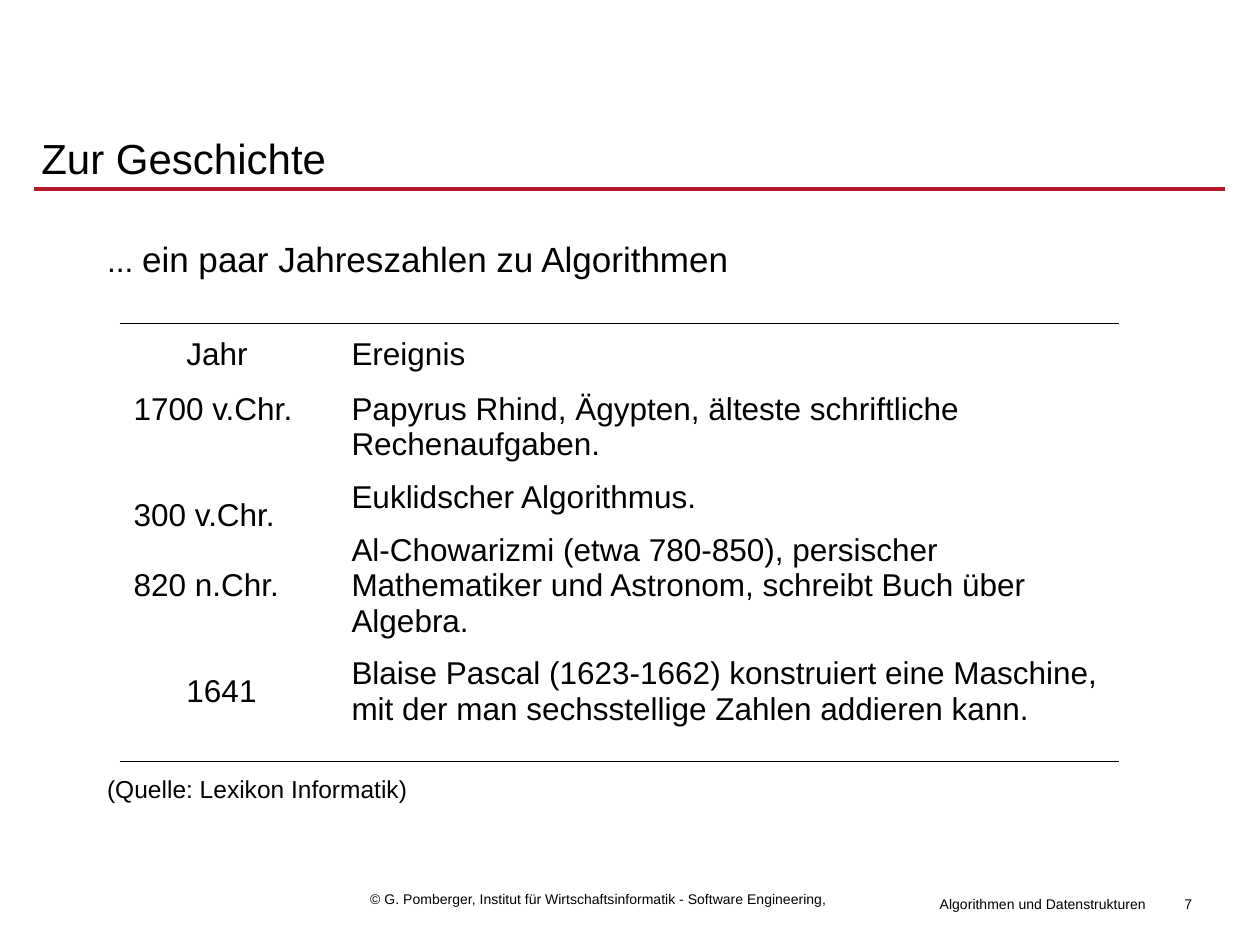
from dataclasses import dataclass

from lxml.etree import SubElement
from pptx import Presentation
from pptx.dml.color import RGBColor
from pptx.enum.shapes import MSO_CONNECTOR as Connector
from pptx.enum.text import MSO_ANCHOR as Anchor, PP_ALIGN as Align
from pptx.oxml.ns import qn
from pptx.util import Inches, Pt


@dataclass(frozen=True)
class Theme:
    font: str = "Arial"
    ink: str = "000000"
    accent: str = "B61A29"
    title: int = 24
    lead: int = 20
    table: int = 18
    source: int = 14
    footer: int = 8
    rule: float = 1.75
    border: float = 0.45


@dataclass(frozen=True)
class Line:
    text: str
    before: float = 0
    indent: float = 0


class SlideBuilder:
    """Draws themed elements placed in percent of the slide's width and height."""

    def __init__(self, deck, theme):
        self.deck, self.theme = deck, theme
        self.page = deck.slides.add_slide(deck.slide_layouts[6])

    def across(self, share):
        return round(self.deck.slide_width * share / 100)

    def down(self, share):
        return round(self.deck.slide_height * share / 100)

    def area(self, left, top, width, height):
        return self.across(left), self.down(top), self.across(width), self.down(height)

    def style(self, para, size):
        for span in para.runs:
            span.font.name = self.theme.font
            span.font.size = Pt(size)
            span.font.color.rgb = RGBColor.from_string(self.theme.ink)

    def text(self, area, text, size, align=Align.LEFT, anchor=Anchor.TOP):
        frame = self.page.shapes.add_textbox(*self.area(*area)).text_frame
        frame.word_wrap = True
        frame.vertical_anchor = anchor
        frame.text = text
        for para in frame.paragraphs:
            para.alignment = align
            self.style(para, size)
        return frame

    def body(self, area, dots, lead, source, inset, indent, gap):
        frame = self.text(area, f"{lead}\n{source}", self.theme.source)
        frame.margin_top = self.down(inset)
        frame.margin_left = self.across(indent)
        first, last = frame.paragraphs
        first.text = dots
        first.add_run().text = lead
        self.style(first, self.theme.lead)
        first.runs[0].font.size = Pt(self.theme.table)
        first.line_spacing = last.line_spacing = 0.9
        last.space_before = Pt(gap)

    def rule(self, left, right, top):
        line = self.page.shapes.add_connector(
            Connector.STRAIGHT, self.across(left), self.down(top), self.across(right), self.down(top))
        line.line.color.rgb = RGBColor.from_string(self.theme.accent)
        line.line.width = Pt(self.theme.rule)
        SubElement(line._element.spPr, qn("a:effectLst"))

    def border(self, cell, visible):
        properties = cell._tc.get_or_add_tcPr()
        for position, side in enumerate(("lnL", "lnR", "lnT", "lnB")):
            edge = properties.makeelement(qn(f"a:{side}"), {"w": str(Pt(self.theme.border))})
            properties.insert(position, edge)
            if side == visible:
                fill = SubElement(edge, qn("a:solidFill"))
                SubElement(fill, qn("a:srgbClr"), val=self.theme.ink)
            else:
                SubElement(edge, qn("a:noFill"))

    def cell(self, cell, lines, anchor, edge):
        cell.fill.background()
        cell.vertical_anchor = anchor
        frame = cell.text_frame
        frame.text = "\n".join(line.text for line in lines)
        for para, line in zip(frame.paragraphs, lines):
            para.space_before = Pt(line.before)
            para._p.get_or_add_pPr().set("marL", str(Inches(0.01 + line.indent)))
            self.style(para, self.theme.table)
        self.border(cell, edge)

    def table(self, left, top, columns, rows, content):
        area = self.area(left, top, sum(columns), sum(rows))
        table = self.page.shapes.add_table(len(rows), len(columns), *area).table
        table.first_row = table.horz_banding = False
        for column, width in zip(table.columns, columns):
            column.width = self.across(width)
        for row, height in zip(table.rows, rows):
            row.height = self.down(height)
        looks = ((Anchor.MIDDLE, "lnT"), (Anchor.TOP, "lnB"))
        for row, entries, look in zip(table.rows, content, looks):
            for cell, lines in zip(row.cells, entries):
                self.cell(cell, lines, *look)


def main():
    deck = Presentation()
    deck.slide_width, deck.slide_height = Inches(10), Inches(7.5)
    theme = Theme()
    slide = SlideBuilder(deck, theme)
    line_height = theme.table * 1.12
    half_line = line_height / 2
    centred = 0.42

    years = [
        Line("1700 v.Chr."),
        Line("300 v.Chr.", 2 * line_height),
        Line("820 n.Chr.", line_height),
        Line("1641", 2 * line_height, centred),
    ]
    events = [
        Line("Papyrus Rhind, Ägypten, älteste schriftliche Rechenaufgaben."),
        Line("Euklidscher Algorithmus.", half_line),
        Line("Al-Chowarizmi (etwa 780-850), persischer", half_line),
        Line("Mathematiker und Astronom, schreibt Buch über"),
        Line("Algebra."),
        Line("Blaise Pascal (1623-1662) konstruiert eine Maschine, "
             "mit der man sechsstellige Zahlen addieren kann.", half_line),
    ]
    header = [[Line("Jahr", indent=centred)], [Line("Ereignis")]]

    slide.text((90.2, 94.13, 5.4, 3.2), "7", theme.footer, Align.RIGHT)
    slide.rule(2.7, 97.2, 20)
    slide.text((73.6, 94.13, 18.9, 3.2), "Algorithmen und Datenstrukturen", theme.footer)
    slide.text((28.4, 93.6, 38.6, 3.2),
               "© G. Pomberger, Institut für Wirtschaftsinformatik - Software Engineering,", theme.footer)
    slide.text((2.3, 11.6, 95.3, 10.13), "Zur Geschichte", theme.title, anchor=Anchor.MIDDLE)
    slide.body((2.9, 21.47, 94.7, 70.8), "... ", "ein paar Jahreszahlen zu Algorithmen",
               "(Quelle: Lexikon Informatik)", inset=4.2, indent=5.6, gap=284)
    slide.table(9.5, 34.27, (17.3, 62), (6.53, 39.73), (header, (years, events)))
    deck.save("out.pptx")


if __name__ == "__main__":
    main()
